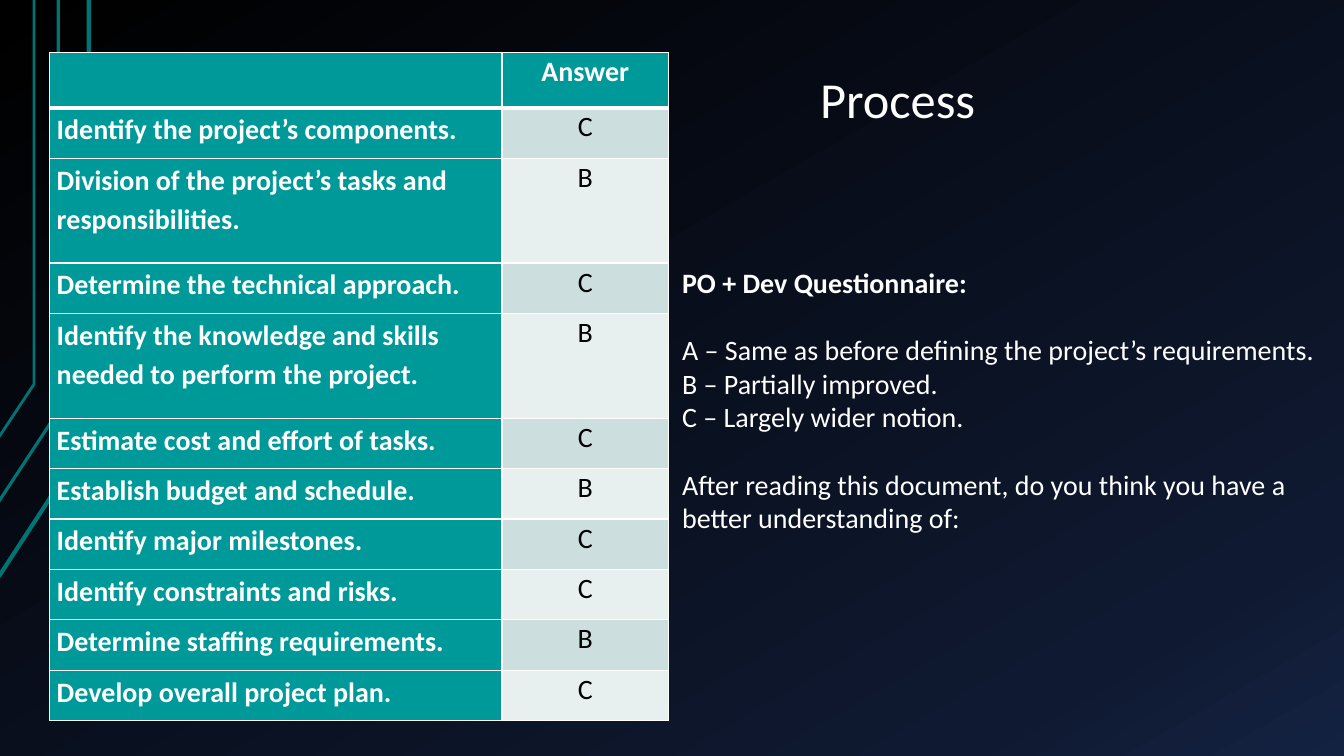
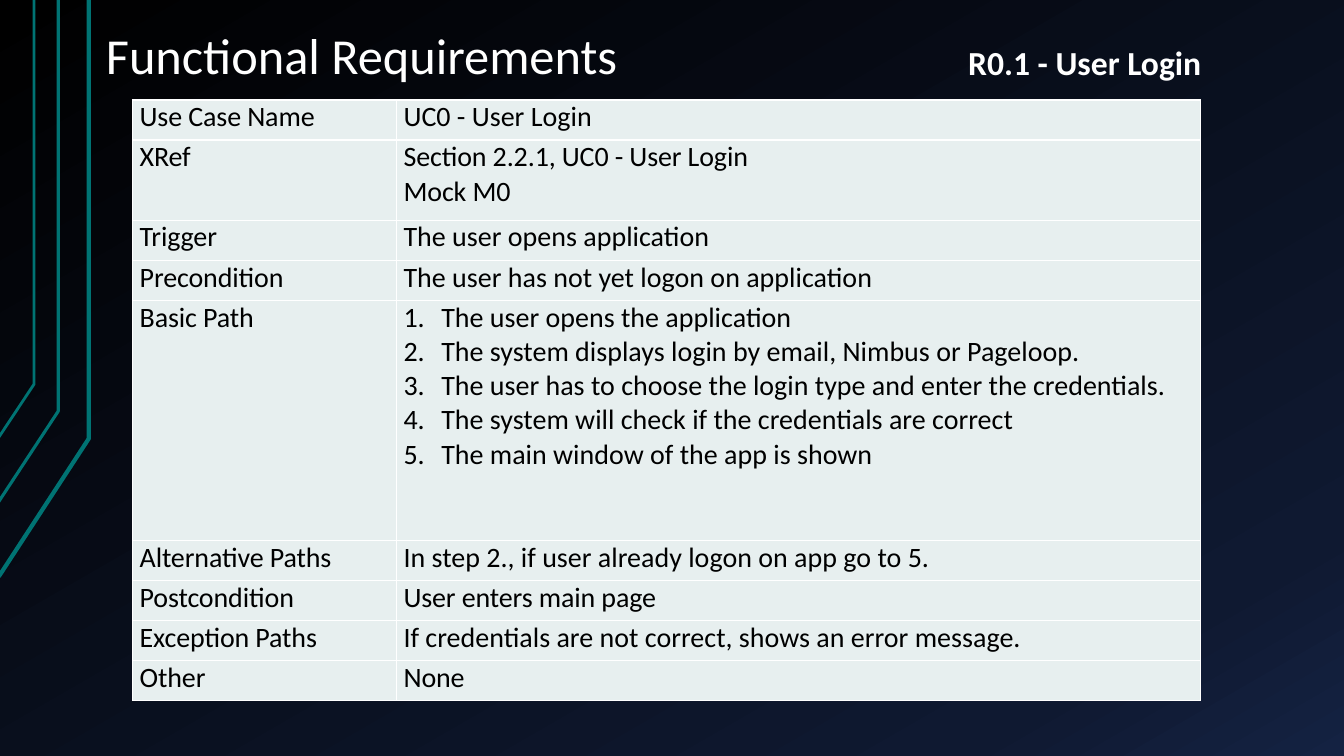
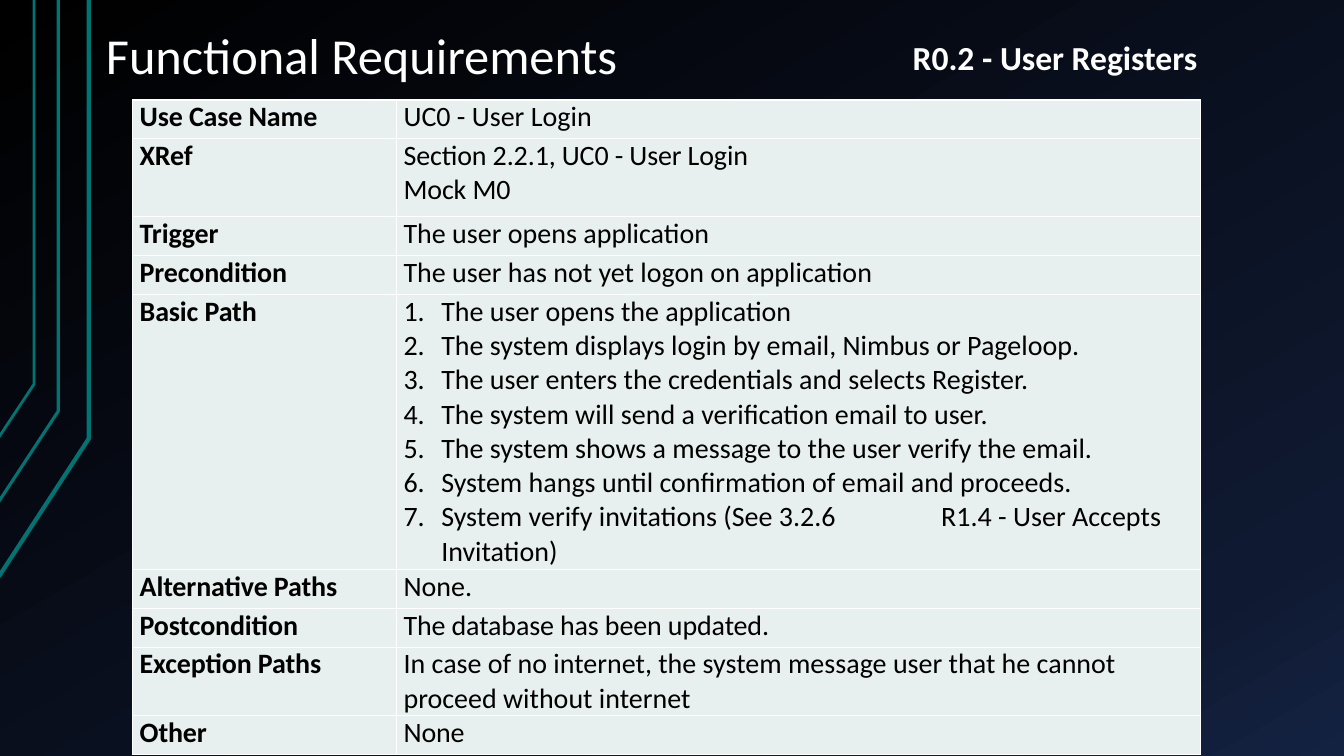
from lxml.etree import SubElement
from copy import deepcopy
from pptx import Presentation
from pptx.dml.color import RGBColor as RGB
from pptx.enum.text import MSO_ANCHOR as Anchor, PP_ALIGN as Align
from pptx.oxml.ns import qn
from pptx.util import Cm, Pt

COLORS = {
    "white": "FFFFFF", "black": "000000", "navy": "0F1931", "indigo": "142242",
    "trace": "007373", "teal": "009999", "band_dark": "CCDEDE", "band_light": "E7EFEF",
}
FONT = "Calibri"
BACKDROP = [(0, "black"), (0.85, "navy"), (1, "indigo")]

# Circuit traces: points in cm, and line width in points
TRACES = [
    ([(-0.03, 14.53), (2.24, 11.05), (2.24, 0)], 3),
    ([(-0.05, 12.67), (1.47, 10.36), (1.47, 0)], 2.25),
    ([(-0.03, 11.02), (0.86, 9.68), (0.86, 0)], 2),
]

# Text formats; tracking is in hundredths of a point
TITLE = {"size": Pt(36), "bold": False, "color": "white", "tracking": 0}
HEADING = {**TITLE, "size": Pt(24), "bold": True}
LABEL = {**HEADING, "size": Pt(20)}
NOTE = {**LABEL, "bold": False}
BODY = {**NOTE, "color": "black"}
TIGHT_BODY = {**BODY, "tracking": -10}
BOLD_BODY = {**TIGHT_BODY, "bold": True}

# Paragraph formats
TITLE_LINE = {"line_spacing": 0.9}
QUESTION_LINE = {"line_spacing": 1.15, "space_after": Pt(10)}
ANSWER_LINE = {"alignment": Align.CENTER, "line_spacing": 1.07}
GAP_ABOVE = {"space_before": Pt(24)}

# Frame formats
TITLE_FRAME = {"word_wrap": True, "vertical_anchor": Anchor.BOTTOM,
               "margin_left": Cm(0.33), "margin_right": Cm(0.33),
               "margin_top": Cm(0.18), "margin_bottom": Cm(0.18)}
NOTE_FRAME = {"word_wrap": True, "vertical_anchor": Anchor.MIDDLE}
HEADING_FRAME = {"word_wrap": False, "vertical_anchor": Anchor.MIDDLE}
CELL_FRAME = {"margin_left": Cm(0.18), "margin_right": Cm(0.18),
              "margin_top": 0, "margin_bottom": 0}

ANSWERS = [
    ("Identify the project’s components.", "C"),
    ("Division of the project’s tasks and responsibilities.", "B"),
    ("Determine the technical approach.", "C"),
    ("Identify the knowledge and skills needed to perform the project.", "B"),
    ("Estimate cost and effort of tasks.", "C"),
    ("Establish budget and schedule.", "B"),
    ("Identify major milestones.", "C"),
    ("Identify constraints and risks.", "C"),
    ("Determine staffing requirements.", "B"),
    ("Develop overall project plan.", "C"),
]
QUESTIONNAIRE = [
    ("PO + Dev Questionnaire:", LABEL, {}),
    ("A – Same as before defining the project’s requirements.", NOTE, GAP_ABOVE),
    ("B – Partially improved.", NOTE, {}),
    ("C – Largely wider notion.", NOTE, {}),
    ("After reading this document, do you think you have a better understanding of:",
     NOTE, GAP_ABOVE),
]

FIELDS = ["Use Case Name", "XRef", "Trigger", "Precondition", "Basic Path",
          "Alternative Paths", "Postcondition", "Exception Paths", "Other"]
STEPS_FIELD = "Basic Path"
TIGHT_FIELDS = {"XRef", "Postcondition", "Other"}
COMMON_VALUES = [
    ["UC0 - User Login"],
    ["Section 2.2.1, UC0 - User Login", "Mock M0"],
    ["The user opens application"],
    ["The user has not yet logon on application"],
]
FIRST_STEPS = ["The user opens the application",
               "The system displays login by email, Nimbus or Pageloop."]
LOGIN_VALUES = COMMON_VALUES + [
    FIRST_STEPS + [
        "The user has to choose the login type and enter the credentials.",
        "The system will check if the credentials are correct",
        "The main window of the app is shown",
    ],
    ["In step 2., if user already logon on app go to 5."],
    ["User enters main page"],
    ["If credentials are not correct, shows an error message."],
    ["None"],
]
REGISTER_VALUES = COMMON_VALUES + [
    FIRST_STEPS + [
        "The user enters the credentials and selects Register.",
        "The system will send a verification email to user.",
        "The system shows a message to the user verify the email.",
        "System hangs until confirmation of email and proceeds.",
        "System verify invitations (See 3.2.6\tR1.4 - User Accepts Invitation)",
    ],
    ["None."],
    ["The database has been updated."],
    ["In case of no internet, the system message user that he cannot "
     "proceed without internet"],
    ["None"],
]


def color(name):
    return RGB.from_string(COLORS[name])


def apply(target, formats):
    for name, value in formats.items():
        setattr(target, name, value)


def write(frame, lines, frame_format):
    """Fill a text frame with (text, text format, paragraph format) lines."""
    apply(frame, frame_format)
    for index, (text, text_format, line_format) in enumerate(lines):
        line = frame.paragraphs[0] if index == 0 else frame.add_paragraph()
        apply(line, line_format)
        run = line.add_run()
        run.text = text
        apply(run.font, {"name": FONT, "size": text_format["size"],
                         "bold": text_format["bold"]})
        run.font.color.rgb = color(text_format["color"])
        run._r.get_or_add_rPr().set("spc", str(text_format["tracking"]))


def add_text(slide, box, lines, frame_format):
    frame = slide.shapes.add_textbox(*map(Cm, box)).text_frame
    write(frame, lines, frame_format)


def add_border(cell, sides):
    """Draw white cell borders, given as {side: width in points}."""
    props = cell._tc.get_or_add_tcPr()
    for position, (side, width) in enumerate(sides.items()):
        edge = SubElement(props, qn(f"a:ln{side}"), w=str(Pt(width)))
        fill = SubElement(edge, qn("a:solidFill"))
        SubElement(fill, qn("a:srgbClr"), val=COLORS["white"])
        props.insert(position, edge)


def fill_cell(cell, lines, fill, bottom=1, top=1):
    write(cell.text_frame, lines, {})
    apply(cell, CELL_FRAME)
    cell.fill.solid()
    cell.fill.fore_color.rgb = color(fill)
    add_border(cell, {"L": 1, "R": 1, "T": top, "B": bottom})


def number_steps(frame):
    """Turn the paragraphs into a numbered list with a hanging indent."""
    hanging = {"marL": Cm(0.95), "indent": -Cm(0.95)}
    for line in frame.paragraphs:
        props = line._p.get_or_add_pPr()
        for name, value in hanging.items():
            props.set(name, str(int(value)))
        SubElement(props, qn("a:buFont"), typeface="+mj-lt")
        SubElement(props, qn("a:buAutoNum"), type="arabicPeriod")
        stops = SubElement(props, qn("a:tabLst"))
        SubElement(stops, qn("a:tab"), pos=str(Cm(13.55)), algn="l")


def add_grid(slide, corner, widths, heights, header):
    size = (sum(widths), sum(heights))
    grid = slide.shapes.add_table(len(heights), len(widths),
                                  *map(Cm, corner + size)).table
    apply(grid, {"first_row": header, "horz_banding": False})
    for column, width in zip(grid.columns, widths):
        column.width = Cm(width)
    for row, height in zip(grid.rows, heights):
        row.height = Cm(height)
    return grid


def set_backdrop(master):
    fill = master.background.fill
    fill.gradient()
    fill.gradient_angle = 300
    stops = master.element.find(f".//{qn('p:bg')}//{qn('a:gsLst')}")
    stops.append(deepcopy(stops[-1]))
    for stop, (position, name) in zip(fill.gradient_stops, BACKDROP):
        stop.position = position
        stop.color.rgb = color(name)


def add_traces(slide):
    for points, width in TRACES:
        start, *rest = [(Cm(x), Cm(y)) for x, y in points]
        builder = slide.shapes.build_freeform(*start)
        builder.add_line_segments(rest, close=False)
        trace = builder.convert_to_shape()
        trace.shadow.inherit = False
        trace.fill.background()
        trace.line.color.rgb = color("trace")
        trace.line.width = Pt(width)


def new_slide(deck, title, corner, width):
    """Start a slide with the traces and a title."""
    slide = deck.slides.add_slide(deck.slide_layouts[6])
    add_traces(slide)
    add_text(slide, corner + (width, 3.4), [(title, TITLE, TITLE_LINE)], TITLE_FRAME)
    return slide


def add_answers(slide, corner):
    heights = [1.4] + [2.64 if len(question) > 50 else 1.27 for question, _ in ANSWERS]
    grid = add_grid(slide, corner, (11.4, 4.2), heights, header=True)
    # Header row
    fill_cell(grid.cell(0, 0), [], "teal", bottom=3)
    fill_cell(grid.cell(0, 1), [("Answer", LABEL, ANSWER_LINE)], "teal", bottom=3)
    # Questions and banded answers
    for row, (question, answer) in enumerate(ANSWERS, start=1):
        top = 3 if row == 1 else 1
        band = "band_dark" if row % 2 else "band_light"
        fill_cell(grid.cell(row, 0), [(question, LABEL, QUESTION_LINE)], "teal", top=top)
        fill_cell(grid.cell(row, 1), [(answer, BODY, ANSWER_LINE)], band, top=top)


def process_slide(deck):
    slide = new_slide(deck, "Process", (20.34, 0.03), 13)
    add_answers(slide, (1.25, 1.32))
    add_text(slide, (16.94, 6.53, 16.61, 7.09), QUESTIONNAIRE, NOTE_FRAME)


def use_case_slide(deck, heading, heading_box, values, heights, field_format):
    slide = new_slide(deck, "Functional Requirements", (2.34, -1.07), 28.78)
    # Use case table
    grid = add_grid(slide, (3.34, 2.52), (6.65, 20.27), heights, header=False)
    for row, (field, texts) in enumerate(zip(FIELDS, values)):
        fill_cell(grid.cell(row, 0), [(field, field_format, {})], "band_light")
        value = grid.cell(row, 1)
        value_format = TIGHT_BODY if field in TIGHT_FIELDS else BODY
        fill_cell(value, [(text, value_format, {}) for text in texts], "band_light")
        if field == STEPS_FIELD:
            number_steps(value.text_frame)
    # Requirement heading
    add_text(slide, heading_box, [(heading, HEADING, {})], HEADING_FRAME)


def main():
    deck = Presentation()
    apply(deck, {"slide_width": Cm(33.87), "slide_height": Cm(19.05)})
    set_backdrop(deck.slide_master)
    process_slide(deck)
    use_case_slide(deck, "R0.1 - User Login", (24.15, 0.93, 6.45, 1.27), LOGIN_VALUES,
                   [1.01, 2.02, 1.01, 1.01, 6.05] + [1.01] * 4, TIGHT_BODY)
    use_case_slide(deck, "R0.2 - User Registers", (22.75, 0.81, 7.75, 1.27),
                   REGISTER_VALUES,
                   [0.98, 1.96, 0.98, 0.98, 6.93, 0.98, 0.98, 1.72, 0.98], BOLD_BODY)
    deck.save("out.pptx")


if __name__ == "__main__":
    main()
